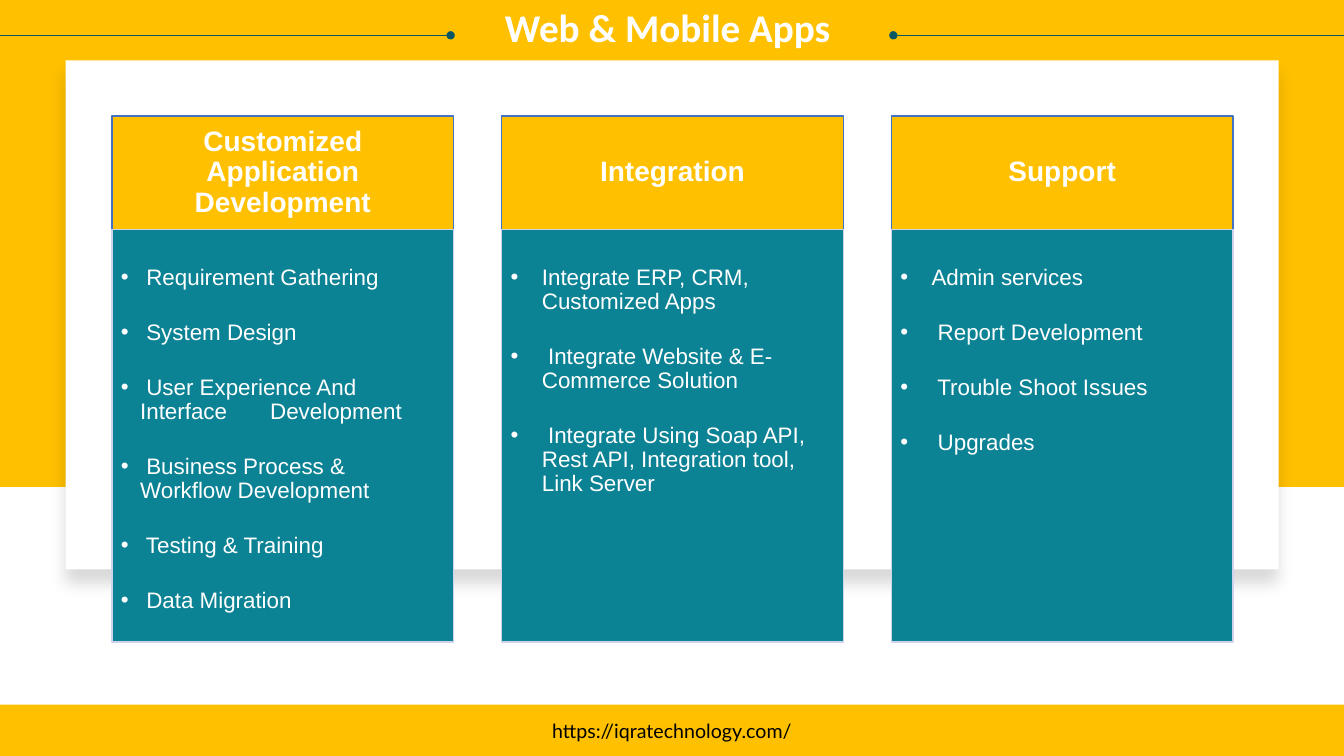
import pptx
import pptx.util
import pptx.dml.color
import pptx.enum.shapes
import pptx.enum.text
import pptx.oxml
import pptx.oxml.ns

WIDTH, HEIGHT = 13.33, 7.5
GOLD, TEAL, WHITE = "FFC000", "0C8295", "FFFFFF"
INSETS = (0.1, 0.05, 0.1, 0.05)
CENTER = pptx.enum.text.PP_ALIGN.CENTER
MIDDLE = pptx.enum.text.MSO_ANCHOR.MIDDLE
TITLE = {"name": "Calibri", "size": pptx.util.Pt(28), "bold": True, "color": WHITE}
HEADING = {"name": "Arial", "size": pptx.util.Pt(20), "bold": True, "color": WHITE}
ITEM = {"name": "Arial", "size": pptx.util.Pt(16), "color": WHITE}
ADDRESS = {"name": "Lato", "size": pptx.util.Pt(14), "color": "000000"}

SERVICES = [
    ("Customized Application Development", 0.19, [
        " Requirement Gathering", " System Design",
        " User Experience And Interface\tDevelopment",
        " Business Process & Workflow Development",
        " Testing & Training", " Data Migration"]),
    ("Integration", 0.31, [
        "Integrate ERP, CRM, Customized Apps",
        " Integrate Website & E-Commerce Solution",
        " Integrate Using Soap API, Rest API, Integration tool, Link Server"]),
    ("Support", 0.31, [
        "Admin services", " Report Development",
        " Trouble Shoot Issues", " Upgrades"]),
]


def inches(value):
    return pptx.util.Inches(value)


def set_color(target, code):
    target.rgb = pptx.dml.color.RGBColor.from_string(code)


def within(box, left, top, width, height):
    x, y, w, h = box
    return x + w * left / 100, y + h * top / 100, w * width / 100, h * height / 100


def add_xml(parent, markup):
    namespace = pptx.oxml.ns.nsdecls("a")
    parent.append(pptx.oxml.parse_xml(markup.replace(">", f" {namespace}>", 1)
                  if "/>" not in markup.split(">")[0] + ">"
                  else markup.replace("/>", f" {namespace}/>", 1)))


def add_panel(page, box, fill, outline=None):
    panel = page.shapes.add_shape(
        pptx.enum.shapes.MSO_SHAPE.RECTANGLE, *map(inches, box))
    panel.shadow.inherit = False
    panel.fill.solid()
    set_color(panel.fill.fore_color, fill)
    if outline:
        set_color(panel.line.color, outline)
        panel.line.width = pptx.util.Pt(1)
    else:
        panel.line.fill.background()
    return panel


def set_frame(shape, insets, anchor):
    frame = shape.text_frame
    frame.word_wrap = True
    frame.vertical_anchor = anchor
    for side, inset in zip(("left", "top", "right", "bottom"), insets):
        setattr(frame, f"margin_{side}", inches(inset))
    return frame


def write(para, text, style, **layout):
    for name, value in layout.items():
        setattr(para, name, value)
    span = para.add_run()
    span.text = text
    for name, value in style.items():
        if name == "color":
            set_color(span.font.color, value)
        else:
            setattr(span.font, name, value)


def add_bullet(para, indent, tab):
    properties = para._p.get_or_add_pPr()
    properties.set("marL", str(inches(indent)))
    properties.set("indent", str(-inches(indent)))
    add_xml(properties, f'<a:buClr><a:srgbClr val="{WHITE}"/></a:buClr>')
    add_xml(properties, '<a:buFont typeface="Arial"/>')
    add_xml(properties, '<a:buChar char="•"/>')
    if tab:
        add_xml(properties, f'<a:tabLst><a:tab pos="{inches(1.48)}" algn="l"/></a:tabLst>')


def add_rule(page, start, end, y, dot):
    rule = page.shapes.add_connector(
        pptx.enum.shapes.MSO_CONNECTOR.STRAIGHT,
        *map(inches, (start, y, end, y)))
    set_color(rule.line.color, "085763")
    rule.line.width = pptx.util.Pt(0.75)
    add_xml(rule.line._get_or_add_ln(), f'<a:{dot} type="oval"/>')
    add_xml(rule._element.spPr, "<a:effectLst/>")


def add_backdrop(page, box):
    add_panel(page, within(box, 0, 0, 100, 64.4), GOLD)
    card = add_panel(page, within(box, 4.88, 8, 90.25, 67.33), WHITE)
    blur, distance = pptx.util.Pt(11), pptx.util.Pt(10)
    effects = card._element.spPr.find(pptx.oxml.ns.qn("a:effectLst"))
    add_xml(effects, f'<a:outerShdw blurRad="{blur}" dist="{distance}" dir="5400000">'
            '<a:srgbClr val="000000"><a:alpha val="14000"/></a:srgbClr></a:outerShdw>')


def add_service(page, box, heading, indent, items):
    header = add_panel(page, within(box, 0, 0, 100, 21.65), GOLD, "4372C3")
    frame = set_frame(header, (0.16, 0.09, 0.16, 0.09), MIDDLE)
    write(frame.paragraphs[0], heading, HEADING, alignment=CENTER, line_spacing=0.9)

    body = add_panel(page, within(box, 0, 21.65, 100, 78.35), TEAL, "CCD3EA")
    frame = set_frame(body, (0.09, 0.36, 0.12, 0.14), pptx.enum.text.MSO_ANCHOR.TOP)
    for index, item in enumerate(items):
        para = frame.add_paragraph() if index else frame.paragraphs[0]
        add_bullet(para, indent, "\t" in item)
        write(para, item, ITEM, alignment=pptx.enum.text.PP_ALIGN.LEFT,
              line_spacing=0.9, space_before=pptx.util.Pt(22 if index else 0))


def add_services(page, box):
    share = 30.49
    step = (100 - share) / (len(SERVICES) - 1)
    for index, service in enumerate(SERVICES):
        add_service(page, within(box, index * step, 0, share, 100), *service)


def add_title(page, box):
    label = page.shapes.add_textbox(*map(inches, within(box, 36.83, -0.27, 50.04, 7.6)))
    frame = set_frame(label, INSETS, pptx.enum.text.MSO_ANCHOR.TOP)
    write(frame.paragraphs[0], "Web & Mobile Apps", TITLE)
    for left, width, dot in ((66.47, 33.53, "headEnd"), (0, 33.53, "tailEnd")):
        start, y, length, _ = within(box, left, 4.67, width, 0)
        add_rule(page, start, start + length, y, dot)


def add_footer(page, box):
    footer = add_panel(page, box, GOLD)
    frame = set_frame(footer, INSETS, MIDDLE)
    write(frame.paragraphs[0], "https://iqratechnology.com/", ADDRESS, alignment=CENTER)


def main():
    deck = pptx.Presentation()
    deck.slide_width, deck.slide_height = inches(WIDTH), inches(HEIGHT)
    page = deck.slides.add_slide(deck.slide_layouts[6])
    whole = (0, 0, WIDTH, HEIGHT)
    add_backdrop(page, whole)
    add_services(page, within(whole, 8.33, 15.33, 83.42, 69.6))
    add_title(page, whole)
    add_footer(page, within(whole, 0, 93.2, 100, 6.8))
    deck.save("out.pptx")


if __name__ == "__main__":
    main()
